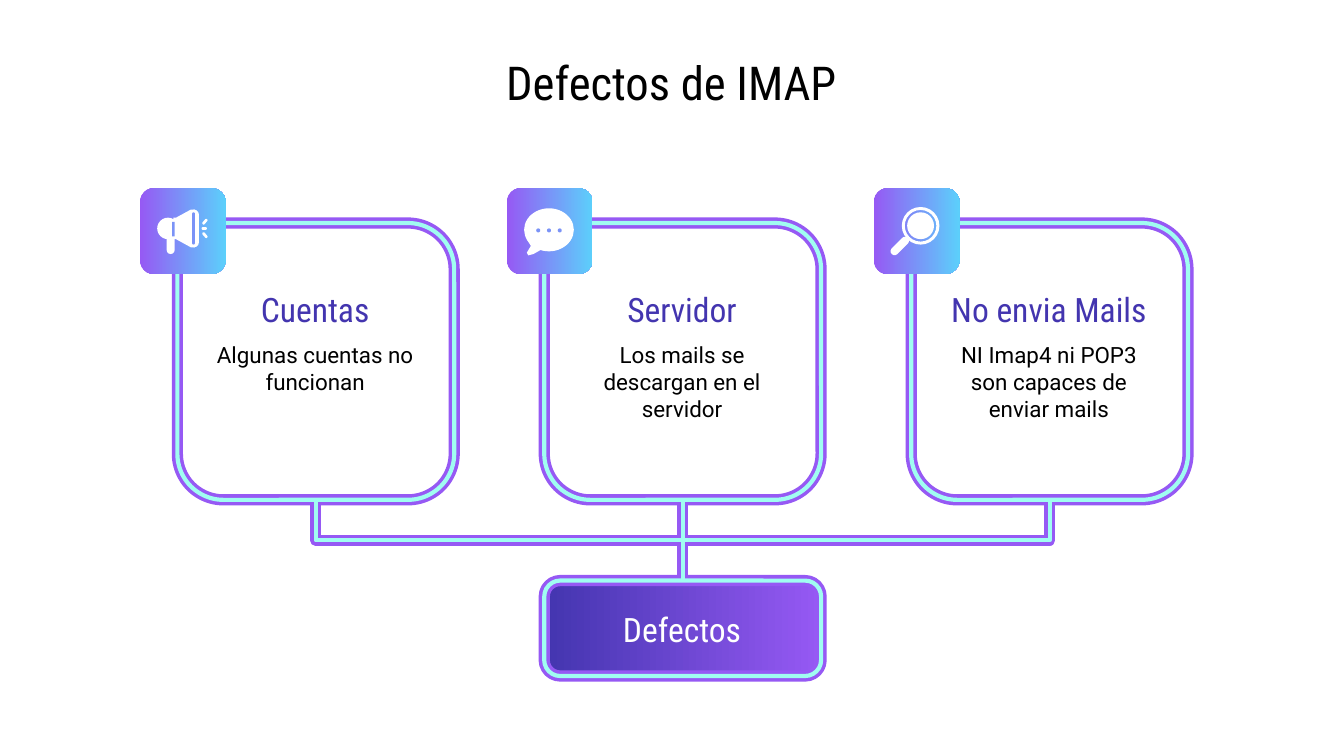
from lxml.etree import SubElement
from pptx import Presentation
from pptx.dml.color import RGBColor
from pptx.enum.shapes import MSO_CONNECTOR as LINK, MSO_SHAPE as SHAPE
from pptx.enum.text import MSO_ANCHOR as ANCHOR, PP_ALIGN as ALIGN
from pptx.oxml.ns import qn
from pptx.util import Inches, Pt

PURPLE, CYAN, INDIGO, SKY = "9659F4", "A0FDF1", "4335AF", "5CCFFB"
WHITE, BLACK, ICON_GAP = "FFFFFF", "000000", "7B93F7"
HEADING, BODY = "Roboto Condensed", "Roboto"
rgb = RGBColor.from_string

prs = Presentation()
prs.slide_width = Inches(10)
prs.slide_height = Inches(10) * 9 // 16
slide = prs.slides.add_slide(prs.slide_layouts[5])
shapes = slide.shapes


def add_box(kind, box, fill=None, outline=None, width=0):
    """Add a preset shape; fill is a colour, a pair of gradient colours or None."""
    shape = shapes.add_shape(kind, *map(Inches, box))
    shape.shadow.inherit = False
    if isinstance(fill, tuple):
        shape.fill.gradient()
        shape.fill.gradient_angle = 0
        for stop, colour in zip(shape.fill.gradient_stops, fill):
            stop.color.rgb = rgb(colour)
    elif fill:
        shape.fill.solid()
        shape.fill.fore_color.rgb = rgb(fill)
    else:
        shape.fill.background()
    if outline:
        shape.line.color.rgb = rgb(outline)
        shape.line.width = Pt(width)
    else:
        shape.line.fill.background()
    return shape


def write(holder, text, size, font, colour, anchor=ANCHOR.MIDDLE):
    frame = holder.text_frame
    frame.text = text
    margins = dict.fromkeys(("margin_left", "margin_top", "margin_right", "margin_bottom"), Inches(0.1))
    for name, value in {"word_wrap": True, "vertical_anchor": anchor, **margins}.items():
        setattr(frame, name, value)
    paragraph = frame.paragraphs[0]
    paragraph.alignment = ALIGN.CENTER
    run = paragraph.runs[0]
    for name, value in {"size": Pt(size), "name": font, "bold": False}.items():
        setattr(run.font, name, value)
    run.font.color.rgb = rgb(colour)


title = shapes.title
title.left, title.top, title.width, title.height = map(Inches, (0.56, 0.33, 8.87, 0.56))
write(title, "Defectos de IMAP", 25, HEADING, BLACK)

# Cards, root and links: a wide purple stroke, then a thin cyan one
CARD, CARD_TOP, PITCH = 2.06, 1.66, 2.73
ROOT_TOP, ROOT_HEIGHT = 4.32, 0.71
card_lefts = [1.32 + i * PITCH for i in range(3)]
root_left = card_lefts[1]
root_center = root_left + CARD / 2
card_bottom = CARD_TOP + CARD
drop = ROOT_TOP - card_bottom

for colour, width, root_fill in ((PURPLE, 6, (INDIGO, PURPLE)), (CYAN, 2.25, None)):
    cards = [add_box(SHAPE.ROUNDED_RECTANGLE, (left, CARD_TOP, CARD, CARD), None, colour, width)
             for left in card_lefts]
    root = add_box(SHAPE.ROUNDED_RECTANGLE, (root_left, ROOT_TOP, CARD, ROOT_HEIGHT),
                   root_fill, colour, width)
    for card, left, turn in zip(cards, card_lefts, (270, 0, 90)):
        center = left + CARD / 2
        link = shapes.add_connector(LINK.ELBOW if turn else LINK.STRAIGHT, Inches(center),
                                    Inches(card_bottom), Inches(root_center), Inches(ROOT_TOP))
        link.begin_connect(card, 2)
        link.end_connect(root, 0)
        link.line.color.rgb = rgb(colour)
        link.line.width = Pt(width)
        SubElement(link._element.spPr, qn("a:effectLst"))
        if turn:  # leave the card downwards: the frame is turned about its middle
            link.left = Inches((center + root_center - drop) / 2)
            link.top = Inches((card_bottom + ROOT_TOP - PITCH) / 2)
            link.width, link.height = Inches(drop), Inches(PITCH)
            frame = link._element.spPr.xfrm
            frame.rot, frame.flipH = turn, turn == 270

# Texts and icon tiles
contents = [
    ("Cuentas", "Algunas cuentas no funcionan"),
    ("Servidor", "Los mails se descargan en el servidor"),
    ("No envia Mails", "NI Imap4 ni POP3 son capaces de enviar mails"),
]
TEXT_INSET, TEXT_WIDTH, LABEL_HEIGHT = 0.18, 1.69, 0.28
for left, (heading, detail) in zip(card_lefts, contents):
    text_left = left + TEXT_INSET
    add_box(SHAPE.ROUNDED_RECTANGLE, (left - 0.28, 1.4, 0.64, 0.64), (PURPLE, SKY))
    label = shapes.add_textbox(*map(Inches, (text_left, 2.16, TEXT_WIDTH, LABEL_HEIGHT)))
    write(label, heading, 18, HEADING, INDIGO)
    description = shapes.add_textbox(*map(Inches, (text_left, 2.44, TEXT_WIDTH, 0.83)))
    write(description, detail, 12, BODY, BLACK, ANCHOR.TOP)

root_label = shapes.add_textbox(
    *map(Inches, (root_left + TEXT_INSET, 4.54, TEXT_WIDTH, LABEL_HEIGHT)))
write(root_label, "Defectos", 18, HEADING, WHITE)

# Icon outlines: megaphone horn and speech bubble tail
horn = [(1.29, 1.62), (1.31, 1.62), (1.42, 1.56), (1.45, 1.56), (1.45, 1.84),
        (1.42, 1.84), (1.31, 1.78), (1.29, 1.78)]
tail = [(3.92, 1.78), (3.95, 1.83), (3.92, 1.88), (3.93, 1.9), (3.97, 1.89), (4.04, 1.85)]
for points in (horn, tail):
    start, *rest = [(Inches(x), Inches(y)) for x, y in points]
    builder = shapes.build_freeform(*start)
    builder.add_line_segments(rest)
    outline = builder.convert_to_shape()
    outline.shadow.inherit = False
    outline.fill.solid()
    outline.fill.fore_color.rgb = rgb(WHITE)
    outline.line.fill.background()

# Icon parts: kind, box, colour, rotation, corner or ring size
PILL, OVAL = SHAPE.ROUNDED_RECTANGLE, SHAPE.OVAL
megaphone = [
    (PILL, (1.17, 1.62, 0.16, 0.16), WHITE, 0, 0.5),
    (PILL, (1.24, 1.7, 0.06, 0.19), WHITE, 0, 0.5),
    (PILL, (1.41, 1.56, 0.07, 0.28), WHITE, 0, 0.5),
    (SHAPE.RECTANGLE, (1.28, 1.65, 0.02, 0.11), ICON_GAP, 0, None),
    (PILL, (1.43, 1.58, 0.02, 0.24), ICON_GAP, 0, 0.5),
    (PILL, (1.5, 1.64, 0.05, 0.02), WHITE, -50, 0.5),
    (PILL, (1.5, 1.69, 0.04, 0.02), WHITE, 0, 0.5),
    (PILL, (1.5, 1.74, 0.05, 0.02), WHITE, 50, 0.5),
]
bubble = [(OVAL, (3.9, 1.55, 0.37, 0.32), WHITE, 0, None)]
bubble += [(OVAL, (3.99 + i * 0.08, 1.7, 0.03, 0.03), ICON_GAP, 0, None) for i in range(3)]
magnifier = [
    (SHAPE.DONUT, (6.71, 1.54, 0.28, 0.28), WHITE, 0, 0.08),
    (OVAL, (6.75, 1.58, 0.2, 0.2), WHITE, 0, None),
    (PILL, (6.61, 1.8, 0.17, 0.06), WHITE, -45, 0.5),
]
for kind, box, colour, rotation, adjustment in megaphone + bubble + magnifier:
    part = add_box(kind, box, colour)
    part.rotation = rotation
    if adjustment:
        part.adjustments[0] = adjustment

prs.save("out.pptx")
